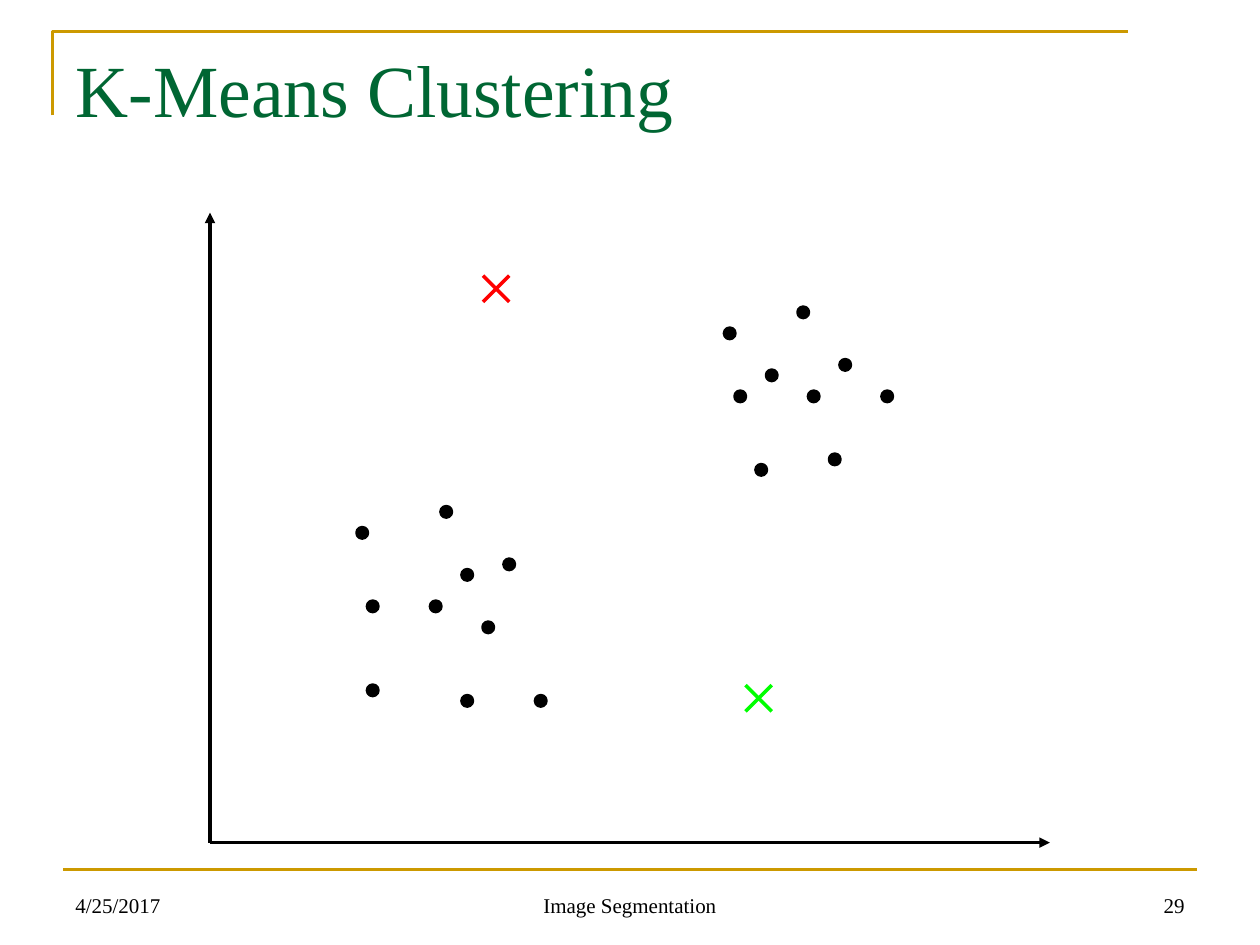
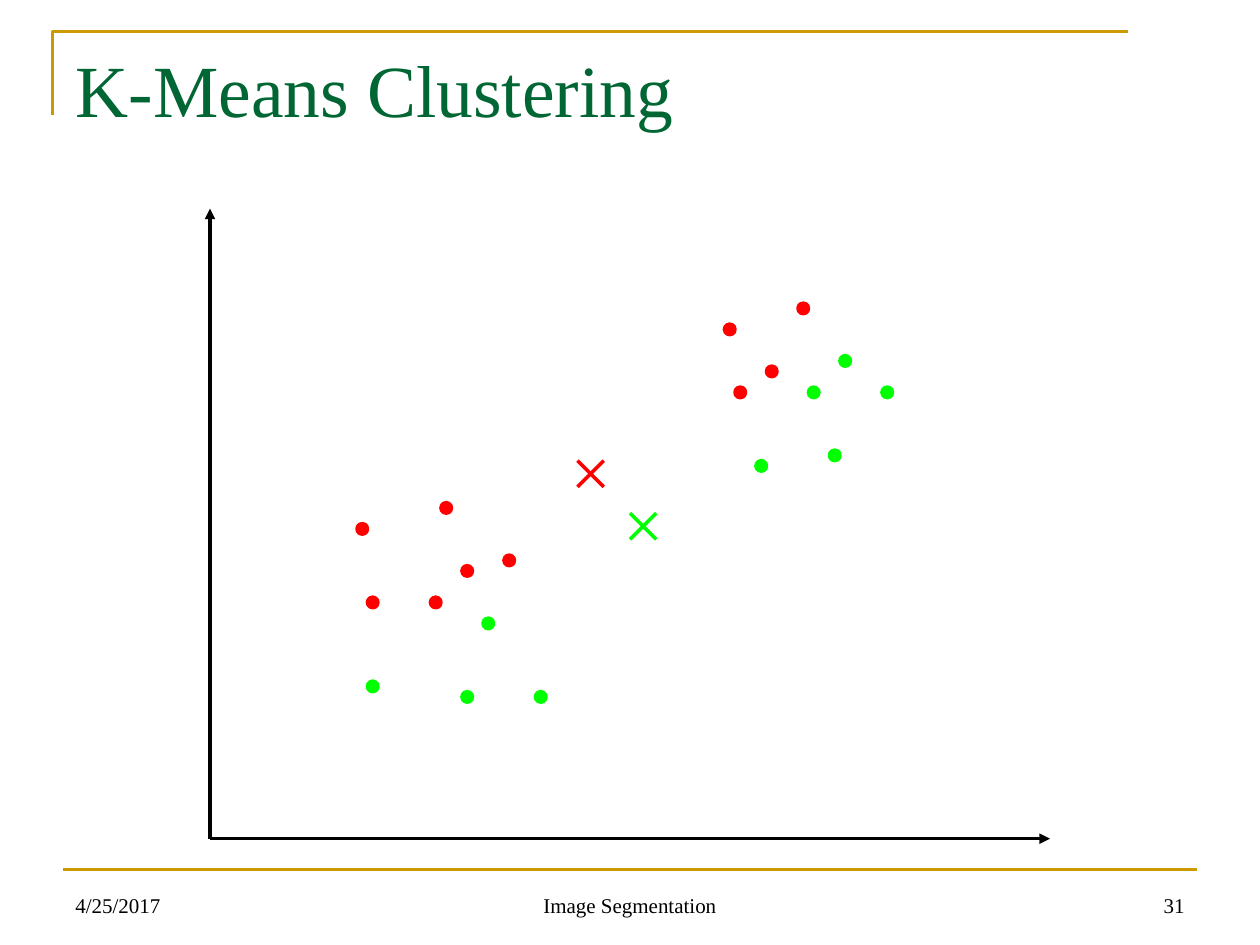
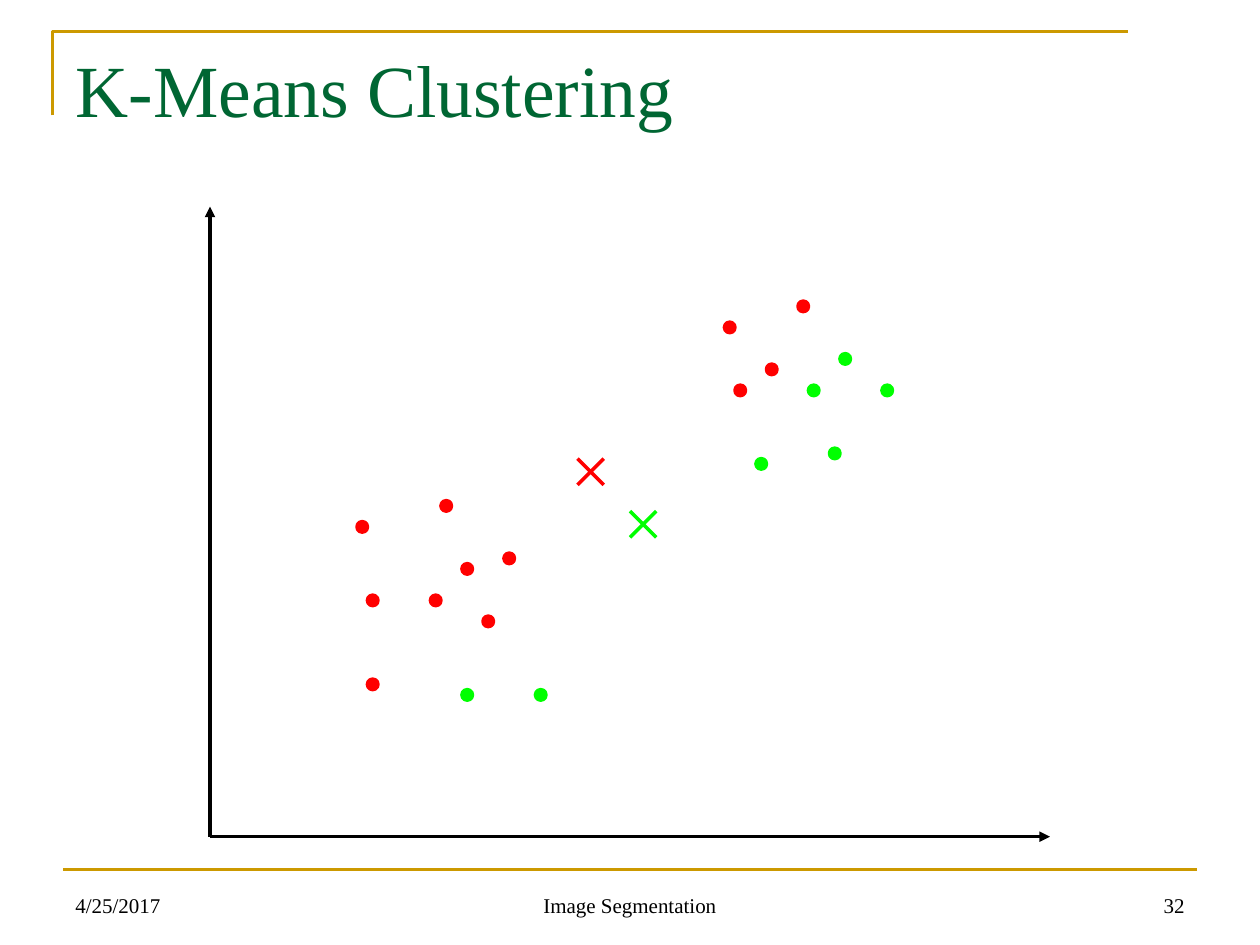
from dataclasses import dataclass

from lxml import etree
from pptx import Presentation
from pptx.dml.color import RGBColor
from pptx.enum.shapes import MSO_CONNECTOR, MSO_SHAPE
from pptx.enum.text import MSO_ANCHOR, MSO_AUTO_SIZE, PP_ALIGN
from pptx.oxml.ns import qn
from pptx.util import Pt

STRAIGHT = MSO_CONNECTOR.STRAIGHT
OVAL = MSO_SHAPE.OVAL
TOP, BOTTOM = MSO_ANCHOR.TOP, MSO_ANCHOR.BOTTOM
LEFT, CENTER, RIGHT = PP_ALIGN.LEFT, PP_ALIGN.CENTER, PP_ALIGN.RIGHT
NO_FIT = MSO_AUTO_SIZE.NONE
TITLE_ONLY = 5


@dataclass(frozen=True)
class Theme:
    font: str = "Times New Roman"
    title_size: float = 42
    footer_size: float = 12
    frame_width: float = 1.5
    plot_width: float = 2
    title: RGBColor = RGBColor(0x00, 0x66, 0x33)
    frame: RGBColor = RGBColor(0xCC, 0x99, 0x00)
    black: RGBColor = RGBColor(0x00, 0x00, 0x00)
    red: RGBColor = RGBColor(0xFF, 0x00, 0x00)
    green: RGBColor = RGBColor(0x00, 0xFF, 0x00)


# Plot geometry: points lie on a 6 pt grid counted from the axis origin
GRID = 6
ORIGIN_X = 120
X_AXIS_LENGTH, Y_AXIS_LENGTH = 480, 360
CROSS_SIZE = 15
UPPER_CLUSTER = [(49, 49), (50, 43), (53, 45), (56, 51), (60, 46),
                 (57, 43), (52, 36), (59, 37), (64, 43)]
LOWER_CLUSTER = [(22, 32), (28, 27), (26, 21), (24, 26), (14, 30),
                 (15, 23), (21, 23), (24, 14), (15, 15), (31, 14)]

# Slide number, axis baseline, dot colours by cluster, red and green centres
STEPS = [
    (29, 481.5, "K" * 9, "K" * 10, (26, 54), (51, 15)),
    (31, 479.25, "RRRRGGGGG", "RRGRRRRGGG", (35, 36), (40, 31)),
    (32, 478.1, "RRRRGGGGG", "RRRRRRRGRG", (35, 36), (40, 31)),
]


class Deck:
    def __init__(self, theme):
        self.theme = theme
        self.presentation = Presentation()
        self.presentation.slide_width = Pt(720)
        self.presentation.slide_height = Pt(540)
        self.slide = None

    def new_slide(self, title, number):
        layout = self.presentation.slide_layouts[TITLE_ONLY]
        self.slide = self.presentation.slides.add_slide(layout)
        self.frame()
        self.title(title)
        self.footer("4/25/2017", 36, 168, LEFT)
        self.footer("Image Segmentation", 246, 228, CENTER)
        self.footer(str(number), 516, 168, RIGHT)

    def frame(self):
        builder = self.slide.shapes.build_freeform(Pt(30), Pt(66))
        builder.add_line_segments([(Pt(30), Pt(18)), (Pt(644.4), Pt(18))], close=False)
        corner = builder.convert_to_shape()
        corner.shadow.inherit = False
        corner.fill.background()
        corner.line.color.rgb = self.theme.frame
        corner.line.width = Pt(self.theme.frame_width)
        self.line(self.slide.shapes, (36, 496.8), (684, 496.8),
                  self.theme.frame, self.theme.frame_width)

    def title(self, text):
        shape = self.slide.shapes.title
        shape.left, shape.top, shape.width, shape.height = Pt(36), Pt(21.6), Pt(648), Pt(90)
        self.set_text(shape, text, self.theme.title_size, self.theme.title, LEFT, TOP)

    def footer(self, text, left, width, alignment):
        box = self.slide.shapes.add_textbox(Pt(left), Pt(492), Pt(width), Pt(36))
        self.set_text(box, text, self.theme.footer_size, self.theme.black, alignment, BOTTOM)

    def set_text(self, shape, text, size, color, alignment, anchor):
        text_frame = shape.text_frame
        text_frame.text = text
        text_frame.word_wrap = True
        text_frame.auto_size = NO_FIT
        text_frame.vertical_anchor = anchor
        paragraph = text_frame.paragraphs[0]
        paragraph.alignment = alignment
        font = paragraph.runs[0].font
        font.name, font.size, font.color.rgb = self.theme.font, Pt(size), color

    def line(self, shapes, start, end, color, width, arrow=False):
        connector = shapes.add_connector(STRAIGHT, *map(Pt, start + end))
        connector.line.color.rgb = color
        connector.line.width = Pt(width)
        properties = connector._element.spPr
        if arrow:
            outline = properties.find(qn("a:ln"))
            etree.SubElement(outline, qn("a:tailEnd"), type="triangle")
        etree.SubElement(properties, qn("a:effectLst"))

    def axes(self, baseline):
        shapes = self.slide.shapes.add_group_shape().shapes
        origin = (ORIGIN_X, baseline)
        for end in [(ORIGIN_X + X_AXIS_LENGTH, baseline),
                    (ORIGIN_X, baseline - Y_AXIS_LENGTH)]:
            self.line(shapes, origin, end, self.theme.black, self.theme.plot_width, arrow=True)

    def place(self, point, baseline):
        column, row = point
        return ORIGIN_X + column * GRID, baseline - row * GRID

    def dot(self, point, baseline, color):
        left, top = self.place(point, baseline)
        shape = self.slide.shapes.add_shape(OVAL, Pt(left), Pt(top), Pt(GRID), Pt(GRID))
        shape.shadow.inherit = False
        shape.fill.solid()
        shape.fill.fore_color.rgb = color
        shape.line.color.rgb = color
        shape.line.width = Pt(self.theme.plot_width)

    def cross(self, point, baseline, color):
        left, top = self.place(point, baseline)
        right, bottom = left + CROSS_SIZE, top + CROSS_SIZE
        shapes = self.slide.shapes.add_group_shape().shapes
        for start, end in [((left, top), (right, bottom)), ((left, bottom), (right, top))]:
            self.line(shapes, start, end, color, self.theme.plot_width)


def main():
    theme = Theme()
    deck = Deck(theme)
    dot_colors = {"K": theme.black, "R": theme.red, "G": theme.green}
    for number, baseline, upper, lower, red_center, green_center in STEPS:
        deck.new_slide("K-Means Clustering", number)
        deck.axes(baseline)
        # Data points, coloured by the centre they belong to
        for point, code in zip(UPPER_CLUSTER + LOWER_CLUSTER, upper + lower):
            deck.dot(point, baseline, dot_colors[code])
        # Cluster centres
        deck.cross(red_center, baseline, theme.red)
        deck.cross(green_center, baseline, theme.green)
    deck.presentation.save("out.pptx")


if __name__ == "__main__":
    main()
